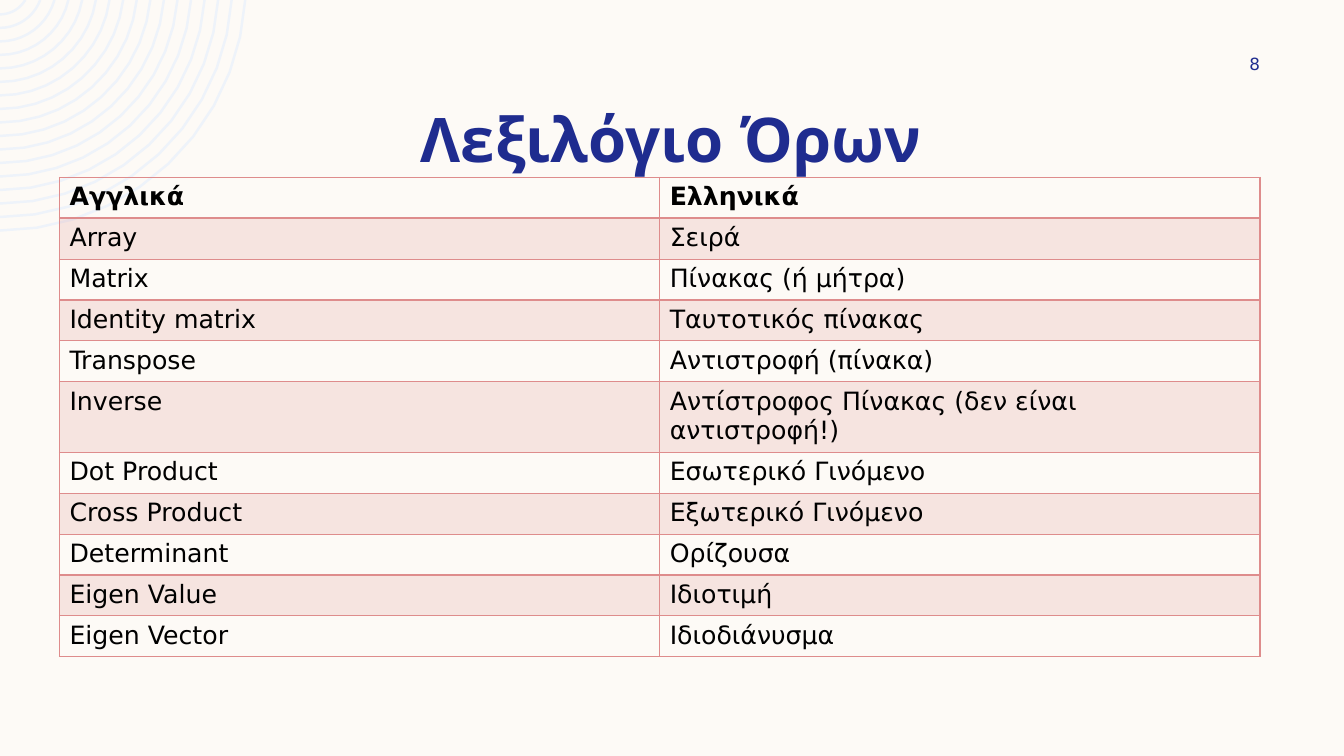
from dataclasses import dataclass
from math import asin, cos, pi, sin

from lxml import etree
from pptx import Presentation
from pptx.dml.color import RGBColor
from pptx.enum import text
from pptx.oxml import ns
from pptx.util import Pt

# Content
TITLE = "Λεξιλόγιο Όρων"
PAGE_NUMBER = "8"
TERMS = [
    ("Αγγλικά", "Ελληνικά"),
    ("Array", "Σειρά"),
    ("Matrix", "Πίνακας (ή μήτρα)"),
    ("Identity matrix", "Ταυτοτικός πίνακας"),
    ("Transpose", "Αντιστροφή (πίνακα)"),
    ("Inverse", "Αντίστροφος Πίνακας (δεν είναι αντιστροφή!)"),
    ("Dot Product", "Εσωτερικό Γινόμενο"),
    ("Cross Product", "Εξωτερικό Γινόμενο"),
    ("Determinant", "Ορίζουσα"),
    ("Eigen Value", "Ιδιοτιμή"),
    ("Eigen Vector", "Ιδιοδιάνυσμα"),
]

# Layout in points: left, top, width, height
TITLE_BOX = (59.8, 57.6, 839.5, 67)
NUMBER_BOX = (822.2, 36, 77.8, 19.4)
TABLE_BOX = (42.5, 126.7, 857.5, 321.2)
ROW_HEIGHT = TABLE_BOX[3] / len(TERMS)
RING_COUNT, RING_STEP, RING_WIDTH = 17, 9.65, 1.75
RING_RADIUS, RING_RISE = 175.5, 10.8  # outermost radius, centre above the top edge
ARC_STEPS = 10


@dataclass(frozen=True)
class Theme:
    background: str = "FDFAF6"
    rings: str = "EEF3FA"
    navy: str = "1F2C8F"
    rose: str = "DE8C8C"
    ink: str = "000000"
    band_opacity: int = 20
    heading_font: str = "Montserrat"
    body_font: str = "DejaVu Sans"
    title_size: int = 44
    cell_size: int = 18
    number_size: int = 12


THEME = Theme()


def points(box):
    return [Pt(value) for value in box]


def style(para, font, size, colour, bold=False):
    para.font.name, para.font.size, para.font.bold = font, Pt(size), bold
    para.font.color.rgb = RGBColor.from_string(colour)


def arc(radius):
    """Points of a ring, from the top edge to the left edge of the page."""
    start = asin(RING_RISE / radius)
    angles = [start + (pi / 2 - start) * i / ARC_STEPS for i in range(ARC_STEPS + 1)]
    return [(Pt(radius * cos(a)), Pt(radius * sin(a) - RING_RISE)) for a in angles]


def add_rings(page):
    first, *others = [arc(RING_RADIUS - i * RING_STEP) for i in range(RING_COUNT)]
    builder = page.shapes.build_freeform(*first[0])
    builder.add_line_segments(first[1:], close=False)
    for ring in others:
        builder.move_to(*ring[0])
        builder.add_line_segments(ring[1:], close=False)
    rings = builder.convert_to_shape()
    rings.shadow.inherit = False
    rings.fill.background()
    rings.line.color.rgb = RGBColor.from_string(THEME.rings)
    rings.line.width = Pt(RING_WIDTH)
    page.shapes.element.insert(2, rings.element)  # behind the title


def add_borders(cell, widths):
    properties = cell._tc.get_or_add_tcPr()
    for position, (side, width) in enumerate(widths.items()):
        line = etree.Element(ns.qn(f"a:ln{side}"), w=str(Pt(width)))
        fill = etree.SubElement(line, ns.qn("a:solidFill"))
        etree.SubElement(fill, ns.qn("a:srgbClr"), val=THEME.rose)
        properties.insert(position, line)


def add_terms(page):
    frame = page.shapes.add_table(len(TERMS), len(TERMS[0]), *points(TABLE_BOX))
    table = frame.table
    table.first_row = table.horz_banding = False
    for r, terms in enumerate(TERMS):
        table.rows[r].height = Pt(ROW_HEIGHT)
        for c, term in enumerate(terms):
            cell = table.cell(r, c)
            cell.text = term
            style(cell.text_frame.paragraphs[0], THEME.body_font, THEME.cell_size,
                  THEME.ink, bold=r == 0)
            if r % 2:
                cell.fill.solid()
                cell.fill.fore_color.rgb = RGBColor.from_string(THEME.rose)
                colour = cell._tc.tcPr.find(".//" + ns.qn("a:srgbClr"))
                etree.SubElement(colour, ns.qn("a:alpha"),
                                 val=str(THEME.band_opacity * 1000))
            else:
                cell.fill.background()
            # The rule under the header is twice as thick
            add_borders(cell, {"L": 1, "R": 1, "T": 2 if r == 1 else 1,
                               "B": 2 if r == 0 else 1})


def main():
    deck = Presentation()
    deck.slide_width, deck.slide_height = Pt(960), Pt(540)
    page = deck.slides.add_slide(deck.slide_layouts[5])
    page.background.fill.solid()
    page.background.fill.fore_color.rgb = RGBColor.from_string(THEME.background)

    # Corner rings
    add_rings(page)

    # Title
    title = page.shapes.title
    title.left, title.top, title.width, title.height = points(TITLE_BOX)
    title.text = TITLE
    title.text_frame.auto_size = text.MSO_AUTO_SIZE.NONE
    title.text_frame.vertical_anchor = text.MSO_ANCHOR.BOTTOM
    title.text_frame.margin_bottom = 0
    para = title.text_frame.paragraphs[0]
    para.alignment = text.PP_ALIGN.CENTER
    style(para, THEME.heading_font, THEME.title_size, THEME.navy, bold=True)

    # Page number
    box = page.shapes.add_textbox(*points(NUMBER_BOX)).text_frame
    box.word_wrap = True
    box.margin_right = 0
    box.vertical_anchor = text.MSO_ANCHOR.MIDDLE
    box.text = PAGE_NUMBER
    para = box.paragraphs[0]
    para.alignment = text.PP_ALIGN.RIGHT
    style(para, THEME.body_font, THEME.number_size, THEME.navy)

    # Table of terms
    add_terms(page)

    deck.save("out.pptx")


if __name__ == "__main__":
    main()
